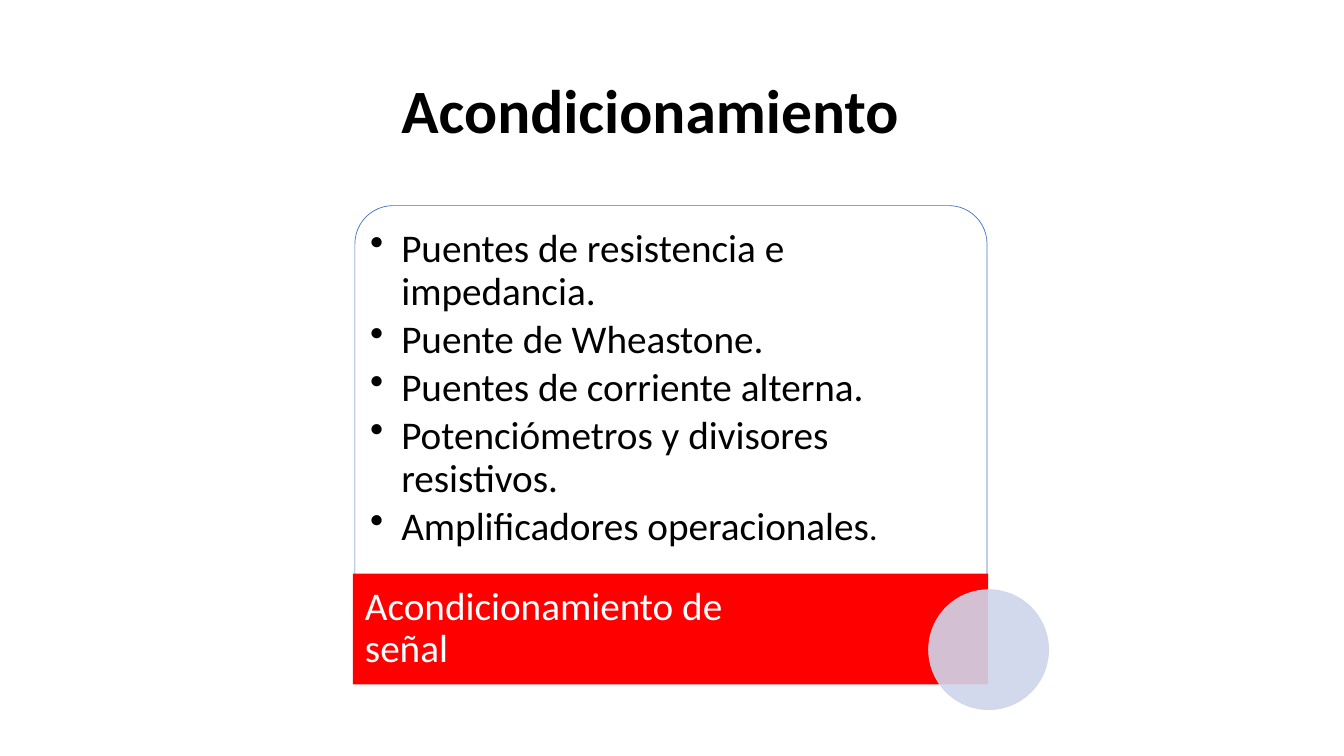
"""Builds the slide on signal conditioning."""
from dataclasses import dataclass

from lxml.etree import SubElement
from pptx import Presentation
from pptx.dml.color import RGBColor
from pptx.enum.shapes import MSO_SHAPE as SHAPE
from pptx.enum.text import MSO_ANCHOR as ANCHOR, PP_ALIGN as ALIGN
from pptx.oxml.ns import qn
from pptx.util import Inches, Pt

Box = tuple[float, float, float, float]


@dataclass
class Panel:
    kind: SHAPE
    box: Box
    fill: str
    line: str = ""
    alpha: int = 100
    line_alpha: int = 100
    adjust: tuple[float, ...] = ()


@dataclass
class Label:
    box: Box
    paragraphs: list[list[tuple[str, int]]]
    color: str
    insets: Box
    anchor: ANCHOR = ANCHOR.MIDDLE
    align: ALIGN = ALIGN.LEFT
    bold: bool = False
    bullet: bool = False
    after: float = 0


PANELS_AND_LABELS = [
    Label((0.49, 0.4, 11.92, 1.45), [[("Acondicionamiento", 44)]], "000000",
          (0.1, 0.05, 0.1, 0.05), align=ALIGN.CENTER, bold=True),
    Panel(SHAPE.ROUND_2_SAME_RECTANGLE, (3.52, 2.04, 6.27, 4.74), "FFFFFF",
          "4472C4", alpha=90, adjust=(0.08, 0)),
    Label((3.63, 2.15, 6.05, 4.63), [
        [("Puentes de resistencia e impedancia.", 28)],
        [("Puente de Wheastone.", 28)],
        [("Puentes de corriente alterna.", 28)],
        [("Potenciómetros y divisores resistivos.", 28)],
        [("Amplificadores operacionales", 28), (".", 24)],
    ], "000000", (0.04, 0.12, 0.04, 0.04), ANCHOR.TOP, bullet=True, after=4.2),
    Panel(SHAPE.RECTANGLE, (3.5, 5.69, 6.3, 1.1), "FF0000"),
    Label((3.5, 5.69, 4.44, 1.1), [[("Acondicionamiento de señal", 28)]],
          "FFFFFF", (0.12, 0, 0.04, 0)),
    Panel(SHAPE.OVAL, (9.21, 5.85, 1.19, 1.19), "CFD5EA", "CFD5EA",
          alpha=90, line_alpha=90),
]


def rgb(color: str) -> RGBColor:
    return RGBColor.from_string(color)


def set_attrs(target, values: dict) -> None:
    for name, value in values.items():
        setattr(target, name, value)


def paint(fill, color: str, alpha: int) -> None:
    fill.solid()
    fill.fore_color.rgb = rgb(color)
    if alpha < 100:
        clr = fill._xPr.find(qn("a:solidFill"))[0]
        SubElement(clr, qn("a:alpha"), val=str(alpha * 1000))


def add_panel(s, panel: Panel) -> None:
    sp = s.shapes.add_shape(panel.kind, *map(Inches, panel.box))
    sp.shadow.inherit = False
    for i, value in enumerate(panel.adjust):
        sp.adjustments[i] = value
    paint(sp.fill, panel.fill, panel.alpha)
    if panel.line:
        sp.line.width = Pt(0.5)
        paint(sp.line.fill, panel.line, panel.line_alpha)
    else:
        sp.line.fill.background()


def add_bullet(p) -> None:
    pPr = p._p.get_or_add_pPr()
    pPr.set("marL", str(Inches(0.31)))
    pPr.set("indent", str(Inches(-0.31)))
    SubElement(pPr, qn("a:buChar"), char="•")


def add_label(s, label: Label) -> None:
    tf = s.shapes.add_textbox(*map(Inches, label.box)).text_frame
    sides = ("margin_left", "margin_top", "margin_right", "margin_bottom")
    set_attrs(tf, {"word_wrap": True, "vertical_anchor": label.anchor,
                   **dict(zip(sides, map(Inches, label.insets)))})
    for i, runs in enumerate(label.paragraphs):
        p = tf.add_paragraph() if i else tf.paragraphs[0]
        set_attrs(p, {"alignment": label.align, "line_spacing": 0.9,
                      "space_after": Pt(label.after)})
        if label.bullet:
            add_bullet(p)
        for text, size in runs:
            r = p.add_run()
            r.text = text
            set_attrs(r.font, {"name": "Calibri", "size": Pt(size),
                               "bold": label.bold})
            r.font.color.rgb = rgb(label.color)


def main() -> None:
    prs = Presentation()
    set_attrs(prs, {"slide_width": Inches(13.33), "slide_height": Inches(7.5)})
    s = prs.slides.add_slide(prs.slide_layouts[6])
    for item in PANELS_AND_LABELS:
        if isinstance(item, Panel):
            add_panel(s, item)
        else:
            add_label(s, item)
    prs.save("out.pptx")


if __name__ == "__main__":
    main()
